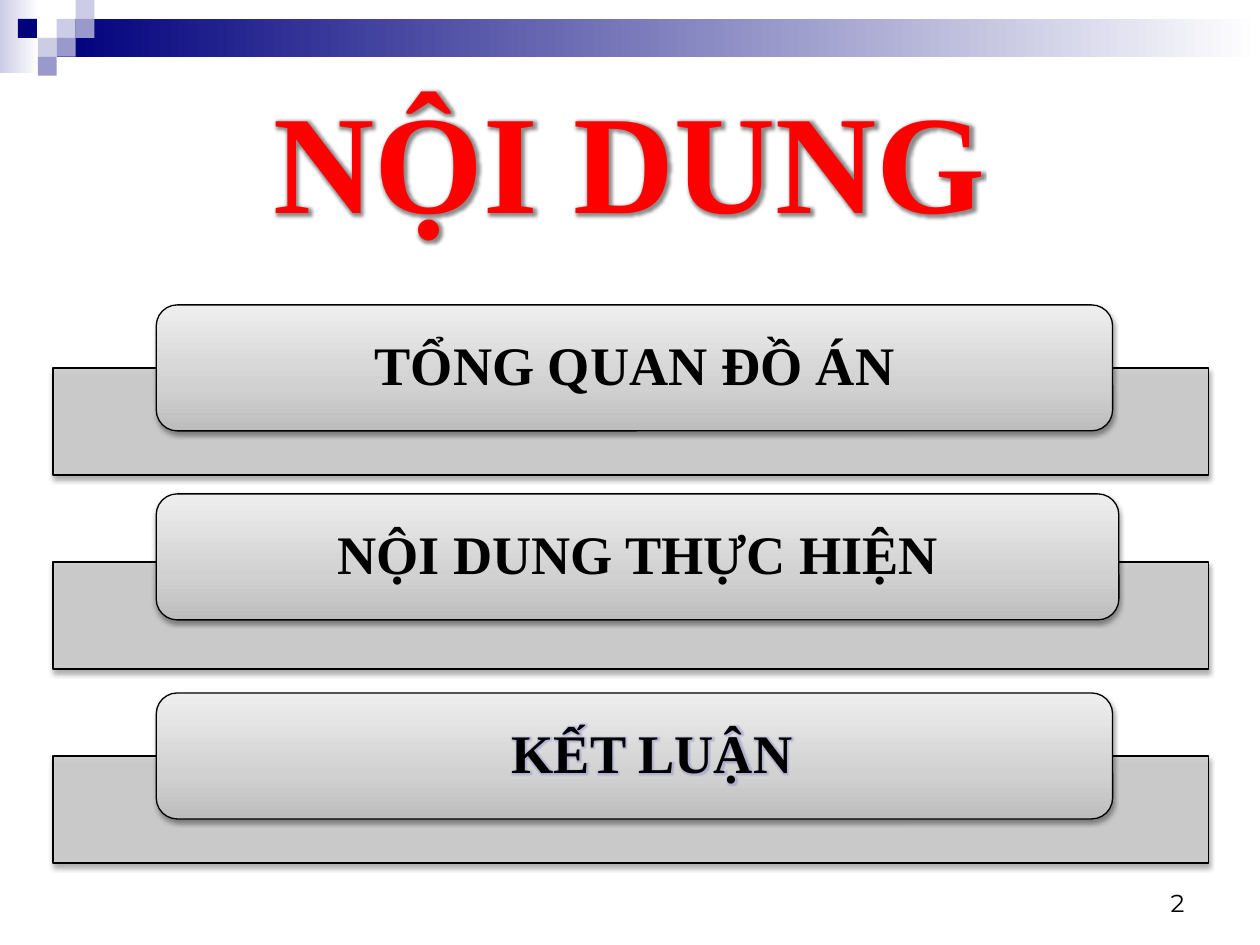
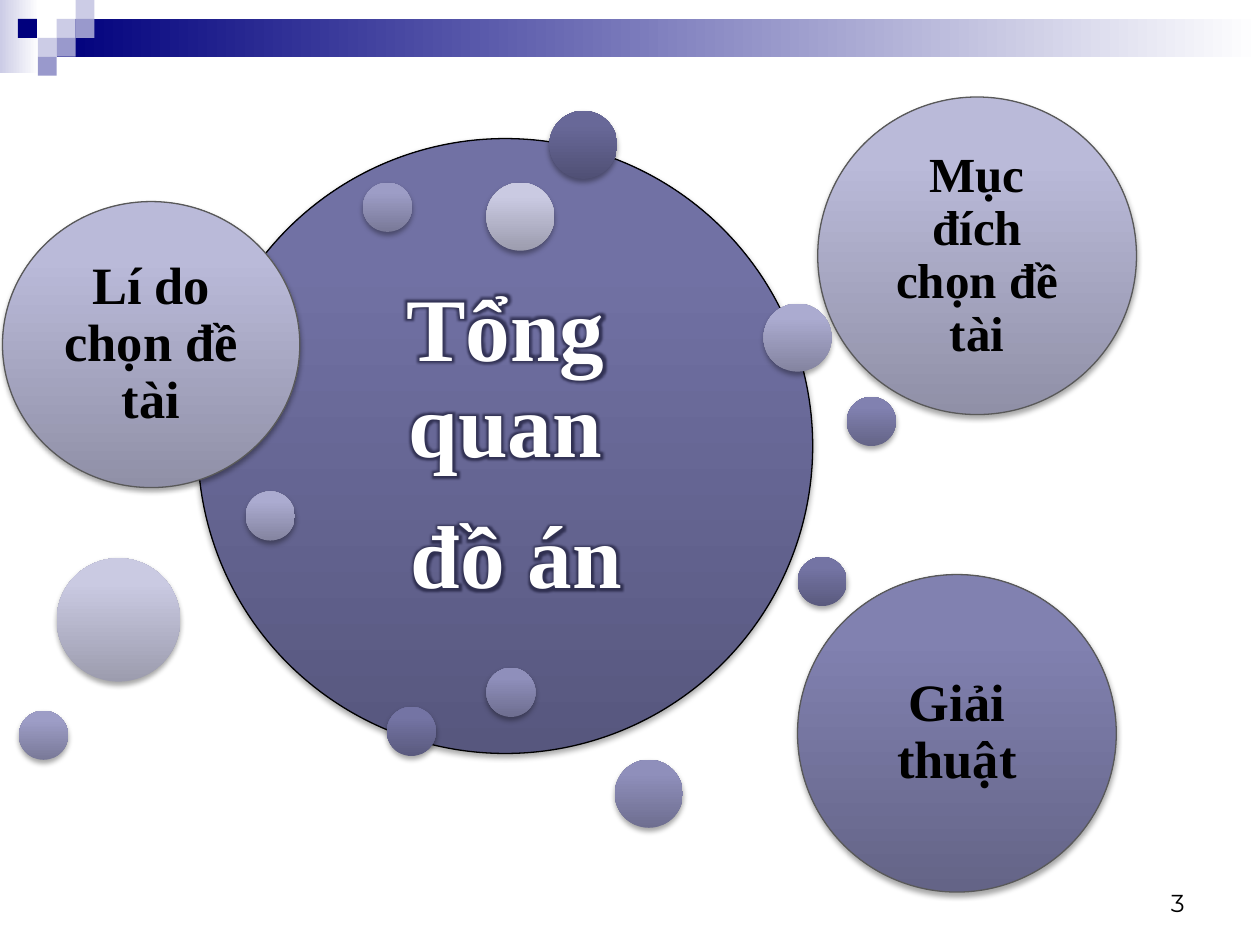
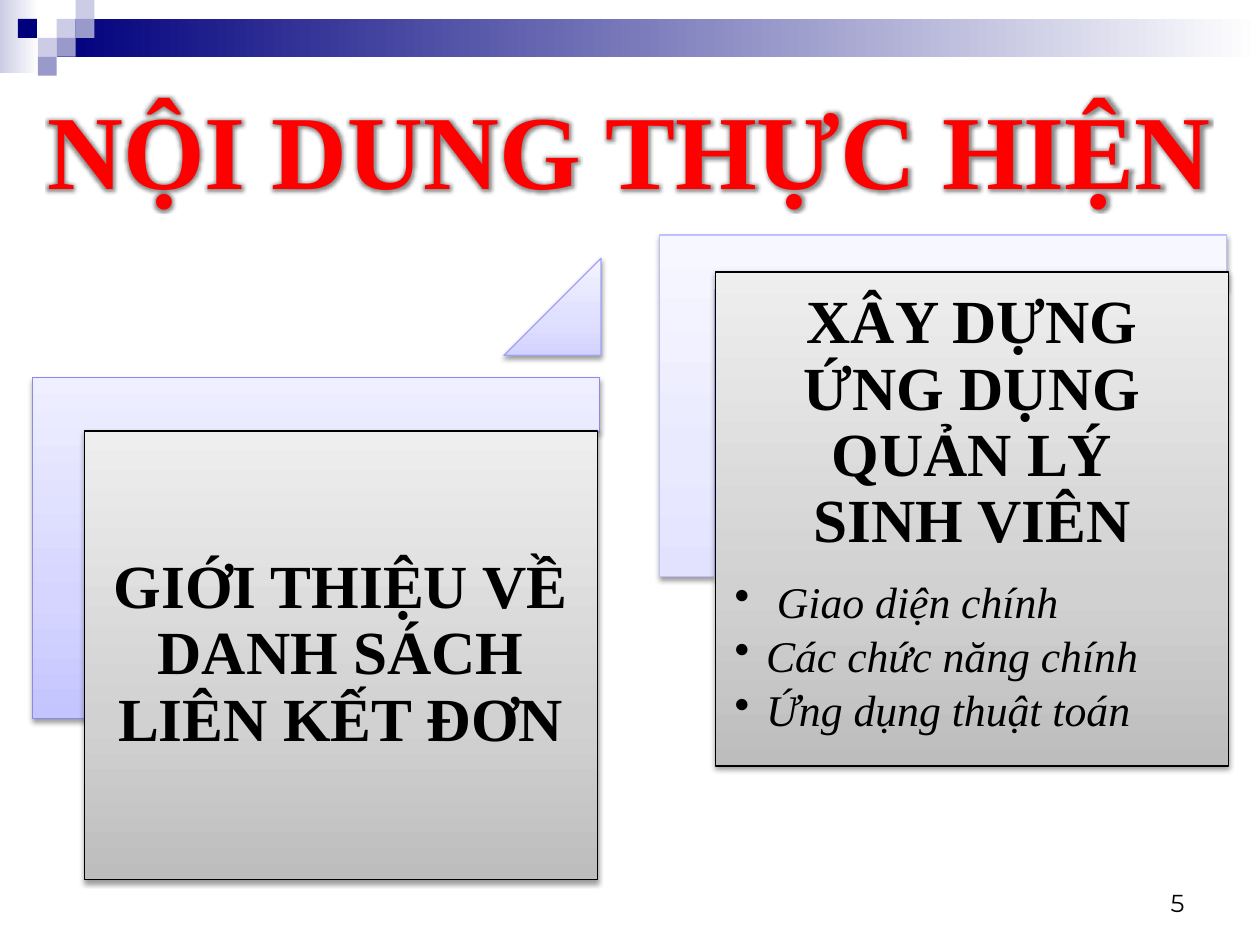
from pptx import Presentation
from pptx.dml.color import RGBColor
from pptx.enum.shapes import MSO_SHAPE
from pptx.enum.text import MSO_ANCHOR, PP_ALIGN
from pptx.oxml import parse_xml
from pptx.oxml.ns import nsdecls, qn
from pptx.util import Inches, Pt

RECT, ROUND = MSO_SHAPE.RECTANGLE, MSO_SHAPE.ROUNDED_RECTANGLE
OVAL, CORNER = MSO_SHAPE.OVAL, MSO_SHAPE.CORNER
WEDGE = MSO_SHAPE.ISOSCELES_TRIANGLE
TOP, MIDDLE, BOTTOM = MSO_ANCHOR.TOP, MSO_ANCHOR.MIDDLE, MSO_ANCHOR.BOTTOM
LEFT, CENTER, RIGHT = PP_ALIGN.LEFT, PP_ALIGN.CENTER, PP_ALIGN.RIGHT

SERIF, SANS = "Times New Roman", "Montserrat"
BLACK, WHITE, RED = "000000", "FFFFFF", "FF0000"
NAVY, MID, PALE = "00007D", "9999CC", "CCCCE6"
GREY, EDGE = "CCCCCC", "595959"
STEEL = ((0, "BDBDBD"), (35, "D1D1D1"), (100, "EEEEEE"))

UNIT = 0.15
FADES = [((0, 0, 0.31, 0.58), PALE), ((0.45, UNIT, 9.55, 0.3), NAVY)]
TILES = [(3, 1, PALE), (4, 0, PALE), (4, 1, MID), (2, 2, PALE),
         (0.95, 1, NAVY), (3, 2, MID), (2, 3, MID)]

TOPICS = [
    ("TỔNG QUAN ĐỒ ÁN", 2.42, 2.92, 7.59, 0),
    ("NỘI DUNG THỰC HIỆN", 3.92, 4.46, 7.64, 0),
    ("KẾT LUẬN", 5.5, 6, 7.59, 0.28),
]

SHADES = [
    ("57577E", "7171A4", "7070A6"),
    ("505075", "686898", "686899"),
    ("5A5A7E", "7474A4", "7474A6"),
    ("646487", "8181B0", "8181B1"),
    ("6E6E90", "8F8FBB", "8F8FBD"),
    ("797998", "9D9DC6", "9D9DC7"),
    ("8484A0", "ABABD0", "ABABD1"),
    ("9090A7", "BABAD9", "BBBBDB"),
    ("9C9CAE", "CACAE2", "CBCBE3"),
]
SMALL, MEDIUM, LARGE = (0.39, 0.39), (0.54, 0.54), (0.98, 0.98)
BUBBLES = [
    (1.57, 1.1, (4.88, 4.88), 0, ("Tổng quan", " đồ án"), 51),
    (4.36, 0.88, MEDIUM, 1, (), 0),
    (3.07, 5.61, SMALL, 2, (), 0),
    (6.72, 3.15, SMALL, 3, (), 0),
    (4.88, 6.03, MEDIUM, 4, (), 0),
    (2.88, 1.45, SMALL, 5, (), 0),
    (1.95, 3.9, SMALL, 6, (), 0),
    (0.02, 1.6, (2.36, 2.27), 7, ("Lí do chọn đề tài",), 30),
    (3.86, 1.45, MEDIUM, 8, (), 0),
    (0.45, 4.43, LARGE, 8, (), 0),
    (6.49, 0.77, (2.53, 2.52), 7, ("Mục đích chọn đề tài",), 28),
    (6.06, 2.41, MEDIUM, 6, (), 0),
    (0.15, 5.64, SMALL, 5, (), 0),
    (3.86, 5.3, SMALL, 4, (), 0),
    (6.33, 4.56, (2.53, 2.52), 3, ("Giải thuật",), 30),
    (6.33, 4.42, SMALL, 2, (), 0),
]

LILAC = [
    (("C4C4FF", "D5D5FF", "EFEFFF"), "8B8BE7"),
    (("D3D3FF", "DFDFFF", "F3F3FF"), "A2A2F7"),
    (("E2E2FF", "EAEAFF", "F7F7FF"), "C0C0FF"),
]
INTRO = "GIỚI THIỆU VỀ DANH SÁCH LIÊN KẾT ĐƠN"
BUILD = "XÂY DỰNG ỨNG DỤNG QUẢN LÝ\vSINH VIÊN"
POINTS = [" Giao diện chính", "Các chức năng chính", "Ứng dụng thuật toán"]


def color(code):
    return RGBColor.from_string(code)


def node(tag, body, attrs=""):
    return parse_xml(f"<a:{tag} {nsdecls('a')} {attrs}>{body}</a:{tag}>")


def tint(code, alpha):
    return f'<a:srgbClr val="{code}"><a:alpha val="{alpha * 1000}"/></a:srgbClr>'


def blend(shape, stops, angle=270):
    shape.fill.background()
    marks = "".join(f'<a:gs pos="{pos * 1000}"><a:srgbClr val="{code}"/></a:gs>'
                    for pos, code in stops)
    fill = node("gradFill", f"<a:gsLst>{marks}</a:gsLst>"
                f'<a:lin ang="{angle * 60000}" scaled="0"/>', 'rotWithShape="0"')
    props = shape._element.spPr
    props.replace(props.find(qn("a:noFill")), fill)


def draw(slide, kind, box, fill, line=None, drop=None, angle=270):
    shape = slide.shapes.add_shape(kind, *map(Inches, box))
    if isinstance(fill, str):
        shape.fill.solid()
        shape.fill.fore_color.rgb = color(fill)
    else:
        blend(shape, fill, angle)
    if line:
        shape.line.color.rgb = color(line)
        shape.line.width = Pt(0.75)
    else:
        shape.line.fill.background()
    shape.shadow.inherit = False
    if drop:
        alpha, dist = drop
        shape._element.spPr.find(qn("a:effectLst")).append(node(
            "outerShdw", tint(BLACK, alpha),
            f'blurRad="{Pt(3.1)}" dist="{Pt(dist)}" dir="5400000" rotWithShape="0"'))
    return shape


SOFT, FIRM = (35, 1.8), (38, 1.6)


def style(para, size, code=BLACK, font=SERIF, bold=True, italic=False,
          outline=False, glow=None, align=CENTER):
    para.alignment = align
    for run in para.runs:
        face = run.font
        face.size, face.name, face.bold, face.italic = Pt(size), font, bold, italic
        face.color.rgb = color(code)
        props = run._r.get_or_add_rPr()
        if outline:
            props.insert(0, node("ln", f'<a:solidFill><a:srgbClr val="{BLACK}"/></a:solidFill>',
                                 f'w="{Pt(0.71)}"'))
        if glow:
            shade, alpha, rad = glow
            halo = node("effectLst", f'<a:glow rad="{Pt(rad)}">{tint(shade, alpha)}</a:glow>')
            props.find(qn("a:solidFill")).addnext(halo)


def frame(shape, insets, anchor=MIDDLE):
    text = shape.text_frame
    text.word_wrap = True
    text.vertical_anchor = anchor
    (text.margin_left, text.margin_top,
     text.margin_right, text.margin_bottom) = map(Inches, insets)
    return text


def write(shape, lines, size, insets, anchor=MIDDLE, **look):
    text = frame(shape, insets, anchor)
    text.text = "\n".join(lines)
    for para in text.paragraphs:
        para.line_spacing = 0.9
        para.space_after = Pt(round(size * 0.4))
        style(para, size, **look)
    return text


def label(slide, box, words, size, anchor=MIDDLE, **look):
    text = frame(slide.shapes.add_textbox(*map(Inches, box)),
                 (0.1, 0.05, 0.1, 0.05), anchor)
    text.text = words
    style(text.paragraphs[0], size, **look)


def title(slide, box, words, size):
    label(slide, box, words, size, code=RED, outline=True, glow=(BLACK, 45, 4))


def start(deck, number):
    slide = deck.slides.add_slide(deck.slide_layouts[6])
    for box, code in FADES:
        draw(slide, RECT, box, ((0, code), (100, WHITE)), angle=0)
    for col, row, code in TILES:
        draw(slide, RECT, (col * UNIT, row * UNIT, UNIT, UNIT), code)
    label(slide, (7.17, 6.83, 2.33, 0.5), str(number), 14, BOTTOM,
          font=SANS, bold=False, align=RIGHT)
    return slide


def agenda(deck):
    slide = start(deck, 2)
    title(slide, (0.5, 0.5, 9, 1.5), "NỘI DUNG", 80)
    for words, top, base, width, shift in TOPICS:
        bar = draw(slide, RECT, (0.42, base, 9.17, 0.85), GREY, BLACK, SOFT)
        bar._element.spPr.find(qn("a:solidFill"))[0].append(node("alpha", "", 'val="90000"'))
        card = draw(slide, ROUND, (1.24, top, width, 1), STEEL, BLACK, FIRM)
        glow = (MID, 60, 4) if shift else None
        write(card, [words], 31, (0.24 + shift, 0, 0.24, 0), outline=True, glow=glow)


def overview(deck):
    slide = start(deck, 3)
    for x, y, (wide, high), shade, lines, size in BUBBLES:
        main = len(lines) > 1
        edge = (BLACK if main else EDGE) if lines else None
        ball = draw(slide, OVAL, (x, y, wide, high),
                    tuple(zip((0, 80, 100), SHADES[shade])), edge, SOFT)
        if lines:
            pad = 0.21 if main else 0.12
            write(ball, lines, size, (pad,) * 4, code=WHITE if main else BLACK,
                  glow=("1F1F3D", 75, 5) if main else None)


def lilac(slide, kind, box, tone):
    shades, edge = LILAC[tone]
    return draw(slide, kind, box, tuple(zip((0, 35, 100), shades)), edge, FIRM)


def elbow(slide, x, y, tone):
    shape = lilac(slide, CORNER, (x, y, 2.71, 4.5), tone)
    shape.adjustments[0] = shape.adjustments[1] = 0.16
    shape.rotation = 90


def panel(slide, box, words, anchor):
    card = draw(slide, RECT, box, STEEL, BLACK, FIRM)
    return write(card, [words], 35, (0.15,) * 4, anchor, outline=True)


def content(deck):
    slide = start(deck, 5)
    elbow(slide, 1.15, 2.1, 0)
    panel(slide, (0.67, 3.42, 4.07, 3.56), INTRO, MIDDLE)
    wedge = lilac(slide, WEDGE, (4, 2.05, 0.77, 0.77), 1)
    wedge.adjustments[0] = 1
    elbow(slide, 6.13, 0.97, 2)
    text = panel(slide, (5.68, 2.16, 4.07, 3.92), BUILD, TOP)
    for point in POINTS:
        para = text.add_paragraph()
        para.text = point
        para.line_spacing = 0.9
        para.space_after = Pt(4)
        style(para, 25, bold=False, italic=True, align=LEFT)
        props = para._p.get_or_add_pPr()
        props.set("marL", str(Inches(0.25)))
        props.set("indent", str(Inches(-0.25)))
        props.append(node("buChar", "", 'char="•"'))
    title(slide, (0.01, 0.42, 9.97, 1.5), "NỘI DUNG THỰC HIỆN", 60)


def main():
    deck = Presentation()
    deck.slide_width, deck.slide_height = Inches(10), Inches(7.5)
    agenda(deck)
    overview(deck)
    content(deck)
    deck.save("out.pptx")


if __name__ == "__main__":
    main()
